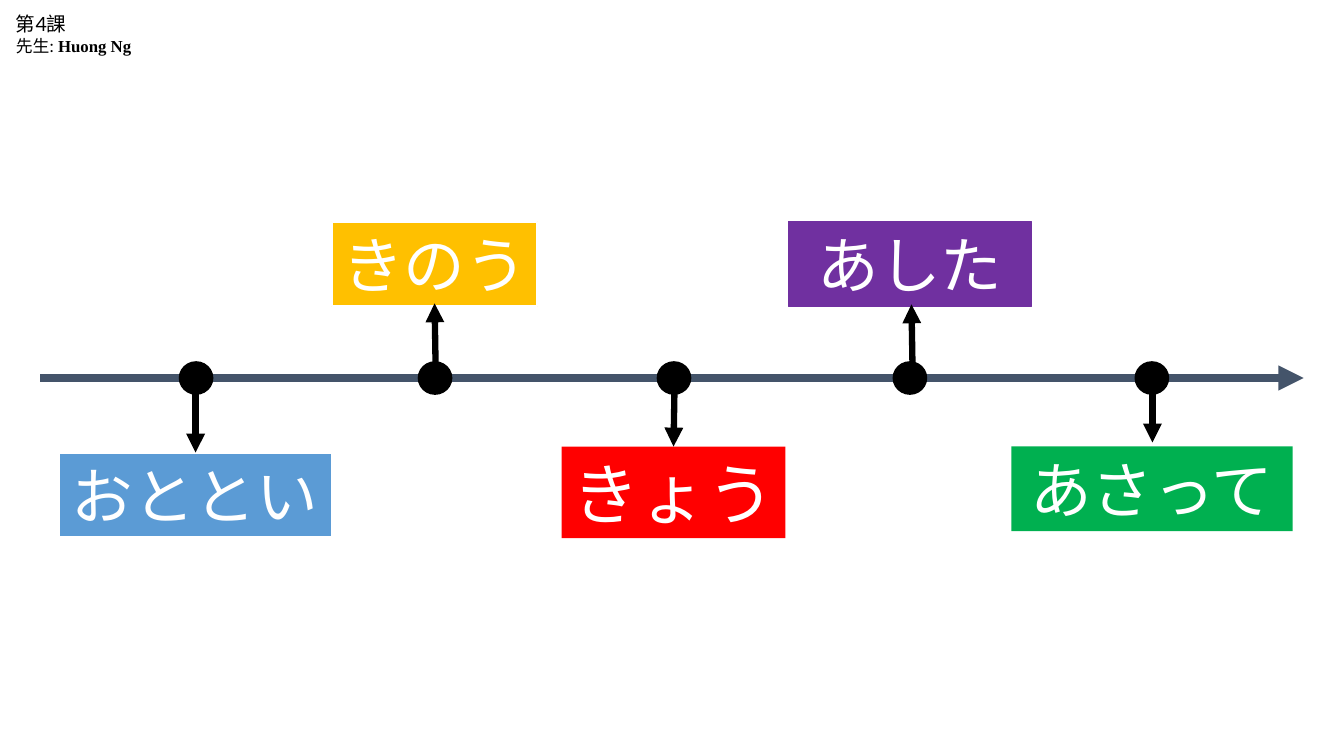
from pptx import Presentation
from pptx.dml.color import RGBColor
from pptx.enum.shapes import MSO_CONNECTOR as Connector, MSO_SHAPE as Shape
from pptx.enum.text import MSO_ANCHOR as Anchor, PP_ALIGN as Align
from pptx.oxml.ns import qn
from pptx.util import Emu, Pt
from lxml.etree import SubElement

PX = 9144  # 100 px to the inch
BLACK = RGBColor(0x00, 0x00, 0x00)
WHITE = RGBColor(0xFF, 0xFF, 0xFF)
SLATE = RGBColor(0x44, 0x54, 0x6A)
BLUE = RGBColor(0x5B, 0x9B, 0xD5)
AMBER = RGBColor(0xFF, 0xC0, 0x00)
RED = RGBColor(0xFF, 0x00, 0x00)
PURPLE = RGBColor(0x70, 0x30, 0xA0)
GREEN = RGBColor(0x00, 0xB0, 0x50)
SANS, SERIF = "Lato", "Times New Roman"


def px(*lengths):
    return [Emu(length * PX) for length in lengths]


class TimelineSlide:
    def __init__(self, slide):
        self.shapes = slide.shapes

    def arrow(self, start, end, color, width):
        line = self.shapes.add_connector(Connector.STRAIGHT, *px(*start, *end))
        line.line.color.rgb = color
        line.line.width = Pt(width)
        SubElement(line.line._get_or_add_ln(), qn("a:tailEnd"), type="triangle")
        SubElement(line._element.spPr, qn("a:effectLst"))

    def block(self, kind, box, fill, outline=None, width=1):
        shape = self.shapes.add_shape(kind, *px(*box))
        shape.shadow.inherit = False
        shape.fill.solid()
        shape.fill.fore_color.rgb = fill
        if outline is None:
            shape.line.fill.background()
        else:
            shape.line.color.rgb = outline
            shape.line.width = Pt(width)
        return shape

    def label(self, text, box, fill, outline, width, size):
        frame = self.block(Shape.RECTANGLE, box, fill, outline, width).text_frame
        frame.word_wrap = False
        frame.vertical_anchor = Anchor.MIDDLE
        frame.text = text
        paragraph = frame.paragraphs[0]
        paragraph.alignment = Align.CENTER
        self.style(paragraph.runs[0], SANS, size, WHITE)

    def text(self, box, lines):
        frame = self.shapes.add_textbox(*px(*box)).text_frame
        frame.word_wrap = True
        for index, (size, runs) in enumerate(lines):
            paragraph = frame.add_paragraph() if index else frame.paragraphs[0]
            for words, font, bold in runs:
                run = paragraph.add_run()
                run.text = words
                self.style(run, font, size, BLACK, bold)

    def style(self, run, font, size, color, bold=False):
        run.font.name = font
        run.font.size = Pt(size)
        run.font.color.rgb = color
        run.font.bold = bold


def main():
    presentation = Presentation()
    presentation.slide_width, presentation.slide_height = px(1333, 750)
    slide = presentation.slides.add_slide(presentation.slide_layouts[6])
    timeline = TimelineSlide(slide)

    # Time axis with one dot per day
    timeline.arrow((40, 375), (1293, 375), SLATE, 6)
    for left in (178, 415, 652, 886, 1126):
        timeline.block(Shape.FLOWCHART_CONNECTOR, (left, 359, 33, 32), BLACK, BLACK)

    # Day names
    days = [
        ("おととい", (58, 449, 271, 84), BLUE, WHITE, 1.5, 44),
        ("きのう", (329, 220, 204, 84), AMBER, WHITE, 1.5, 44),
        ("きょう", (557, 443, 222, 91), RED, None, 0, 48),
        ("あした", (782, 220, 241, 84), PURPLE, PURPLE, 0.75, 44),
        ("あさって", (1003, 443, 279, 84), GREEN, None, 0, 44),
    ]
    for day in days:
        timeline.label(*day)

    # Arrows from the dots to the day names
    pointers = [
        ((194, 391), (194, 449)),
        ((432, 359), (431, 301)),
        ((669, 385), (668, 443)),
        ((905, 361), (904, 302)),
        ((1143, 381), (1143, 439)),
    ]
    for start, end in pointers:
        timeline.arrow(start, end, BLACK, 4.5)

    # Lesson and teacher
    timeline.text((6, 7, 143, 54), [
        (14, [("第", SERIF, False), ("4", SANS, False), ("課", SERIF, False)]),
        (12, [("先生: ", SANS, False), ("Huong Ng", SERIF, True)]),
    ])

    presentation.save("out.pptx")


if __name__ == "__main__":
    main()
